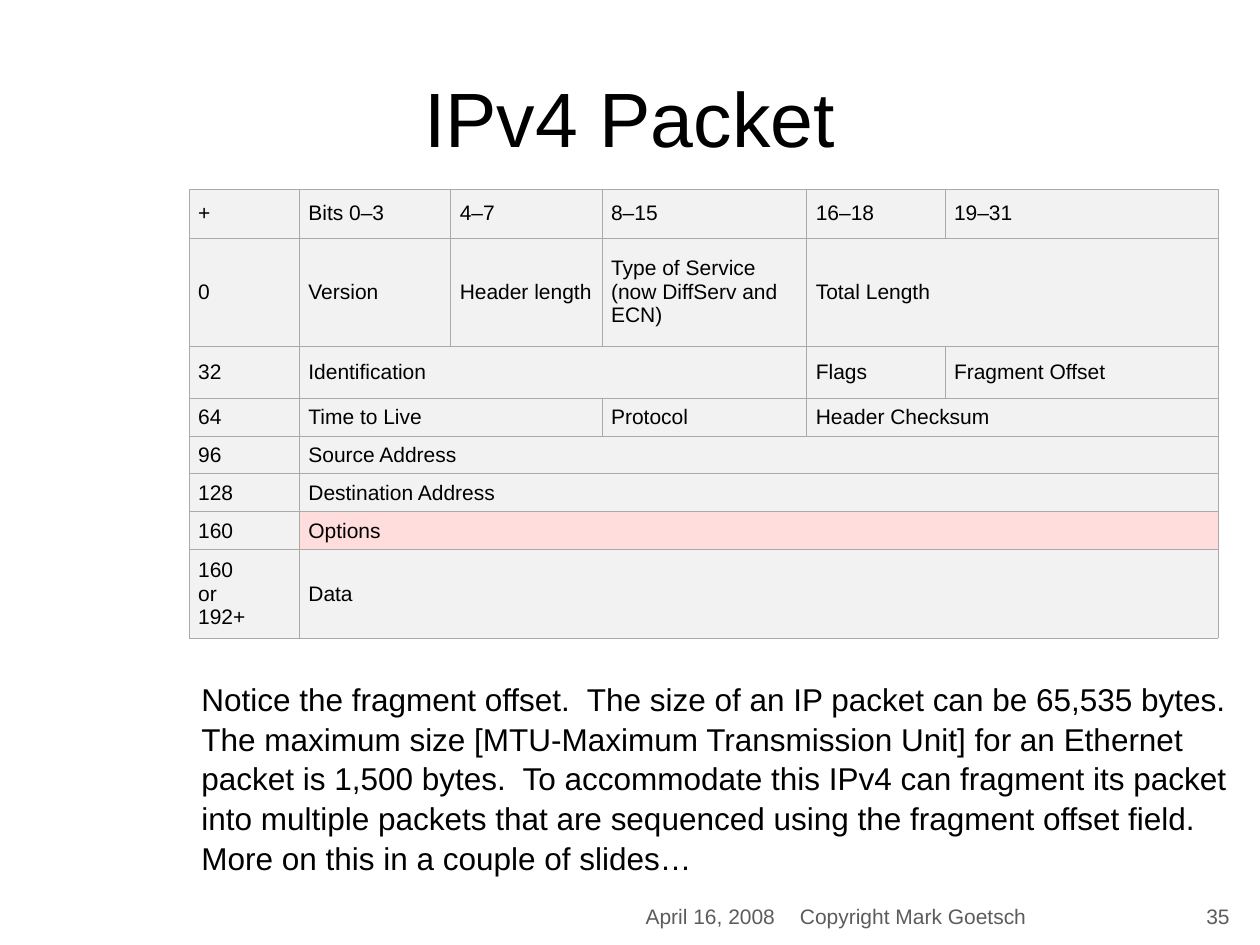
from dataclasses import dataclass
from typing import Any

from lxml import etree
from pptx import Presentation
from pptx import util as u
from pptx.dml.color import RGBColor
from pptx.enum import text
from pptx.oxml import ns

LEFT, CENTER, RIGHT = text.PP_ALIGN.LEFT, text.PP_ALIGN.CENTER, text.PP_ALIGN.RIGHT
TOP, MIDDLE, BOTTOM = text.MSO_ANCHOR.TOP, text.MSO_ANCHOR.MIDDLE, text.MSO_ANCHOR.BOTTOM

COLUMNS = [63, 86.5, 86.5, 117, 79, 156]
ROWS = [
    (28, [("+", 1), ("Bits 0–3", 1), ("4–7", 1), ("8–15", 1), ("16–18", 1), ("19–31", 1)]),
    (61.7, [("0", 1), ("Version", 1), ("Header length", 1),
            ("Type of Service\n(now DiffServ and ECN)", 1), ("Total Length", 2)]),
    (29.7, [("32", 1), ("Identification", 3), ("Flags", 1), ("Fragment Offset", 1)]),
    (21.7, [("64", 1), ("Time to Live", 2), ("Protocol", 1), ("Header Checksum", 2)]),
    (21.7, [("96", 1), ("Source Address", 5)]),
    (21.7, [("128", 1), ("Destination Address", 5)]),
    (21.7, [("160", 1), ("Options", 5)]),
    (48.6, [("160\nor\n192+", 1), ("Data", 5)]),
]
NOTE = (
    "Notice the fragment offset.  The size of an IP packet can be 65,535 bytes. "
    "The maximum size [MTU-Maximum Transmission Unit] for an Ethernet packet is "
    "1,500 bytes.  To accommodate this IPv4 can fragment its packet into multiple "
    "packets that are sequenced using the fragment offset field. "
    "More on this in a couple of slides…"
)


def rgb(value):
    return RGBColor.from_string(value)


@dataclass
class Deck:
    """Holds the style and the current slide, and adds elements to it."""

    s: Any
    font: str = "Arial"
    ink: str = "000000"
    muted: str = "5C5C5C"
    cell_fill: str = "F2F2F2"
    optional_fill: str = "FFDDDD"
    border: str = "AAAAAA"

    def add_words(self, tf, words, size, color, align=LEFT, spacing=None):
        p = tf.paragraphs[0]
        p.alignment = align
        p.line_spacing = spacing
        for i, line in enumerate(words.split("\n")):
            if i:
                p.add_line_break()
            r = p.add_run()
            r.text = line
            r.font.name = self.font
            r.font.size = u.Pt(size)
            r.font.color.rgb = rgb(color)

    def text(self, box, words, size, color, align=LEFT, anchor=TOP, spacing=None):
        sp = self.s.shapes.add_textbox(*map(u.Pt, box))
        tf = sp.text_frame
        tf.word_wrap = True
        tf.vertical_anchor = anchor
        self.add_words(tf, words, size, color, align, spacing)

    def style_cell(self, cell, fill):
        cell.vertical_anchor = MIDDLE
        cell.margin_left = cell.margin_right = u.Pt(5.25)
        cell.margin_top = cell.margin_bottom = u.Pt(3.6)
        tc_pr = cell._tc.get_or_add_tcPr()
        for side in ("a:lnL", "a:lnR", "a:lnT", "a:lnB"):
            ln = etree.SubElement(tc_pr, ns.qn(side), w=str(u.Pt(0.34)))
            solid = etree.SubElement(ln, ns.qn("a:solidFill"))
            etree.SubElement(solid, ns.qn("a:srgbClr"), val=self.border)
        cell.fill.solid()
        cell.fill.fore_color.rgb = rgb(fill)

    def table(self, left, top, widths, rows):
        height = sum(h for h, _ in rows)
        box = map(u.Pt, (left, top, sum(widths), height))
        tbl = self.s.shapes.add_table(len(rows), len(widths), *box).table
        for column, width in zip(tbl.columns, widths):
            column.width = u.Pt(width)
        for i, (height, fields) in enumerate(rows):
            tbl.rows[i].height = u.Pt(height)
            start = 0
            for words, span in fields:
                fill = self.optional_fill if words == "Options" else self.cell_fill
                for j in range(start, start + span):
                    self.style_cell(tbl.cell(i, j), fill)
                cell = tbl.cell(i, start)
                if span > 1:
                    cell.merge(tbl.cell(i, start + span - 1))
                self.add_words(cell.text_frame, words, 12, self.ink)
                start += span


def main():
    prs = Presentation()
    prs.slide_width, prs.slide_height = u.Pt(720), u.Pt(540)
    deck = Deck(prs.slides.add_slide(prs.slide_layouts[6]))
    deck.text((36, 21.6, 648, 90), "IPv4 Packet", 44, deck.ink, CENTER, MIDDLE)
    footer = [
        (282, 168, "April 16, 2008", RIGHT),
        (450, 228, "Copyright Mark Goetsch", LEFT),
        (678, 36, "35", CENTER),
    ]
    for left, width, words, align in footer:
        deck.text((left, 497, width, 37.5), words, 12, deck.muted, align, BOTTOM)
    deck.table(108, 108, COLUMNS, ROWS)
    deck.text((108, 384, 600.5, 115), NOTE, 18, deck.ink, spacing=1.05)
    prs.save("out.pptx")


if __name__ == "__main__":
    main()
